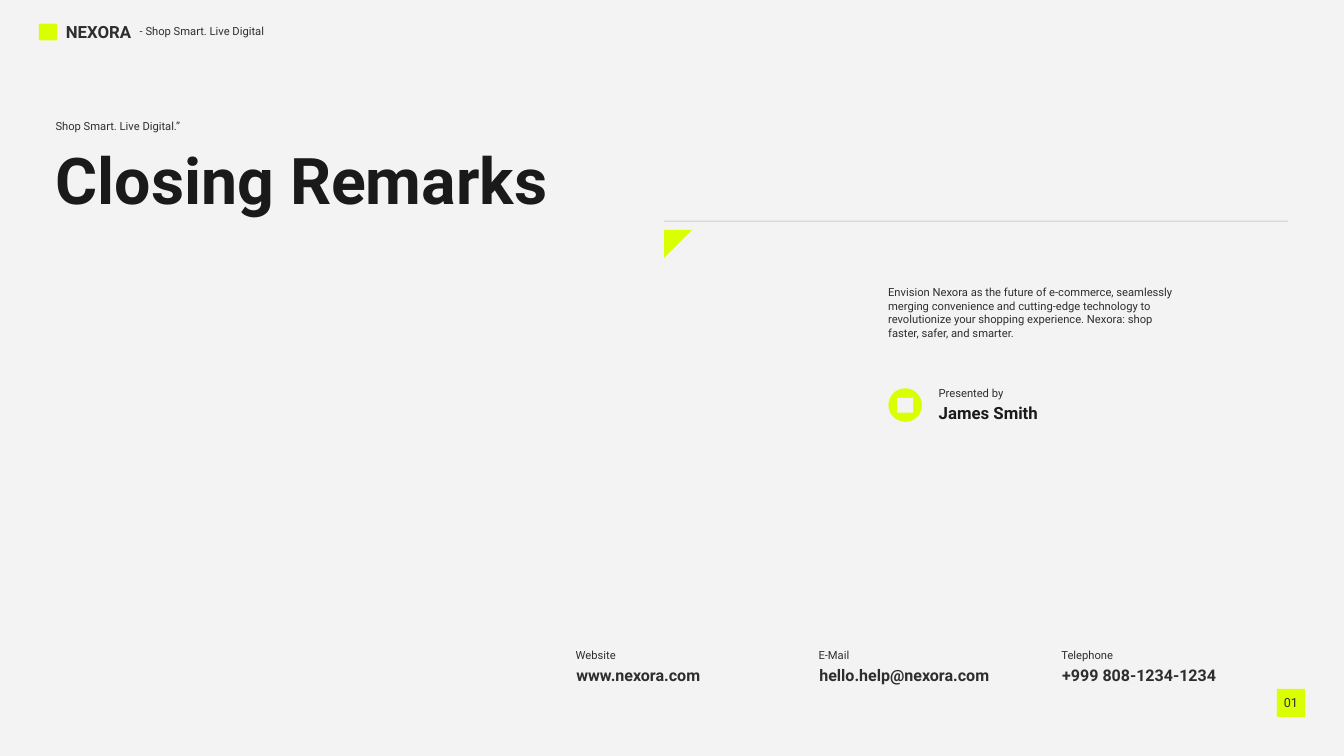
from lxml import etree
from pptx import Presentation
from pptx.dml.color import RGBColor
from pptx.enum.shapes import MSO_CONNECTOR as Conn, MSO_SHAPE as Kind
from pptx.enum.text import MSO_ANCHOR as Anchor, PP_ALIGN as Align
from pptx.oxml.ns import qn
from pptx.util import Cm, Pt

LIME, PALE, INK, DARK = "D9FF00", "F3F3F3", "2E2E2E", "1A1A1A"


def color(hex):
    return RGBColor.from_string(hex)


def write(frame, text, size=12, bold=False, ink=INK, align=Align.LEFT):
    frame.word_wrap = True
    for i, line in enumerate(text.split("\n")):
        para = frame.paragraphs[0] if i == 0 else frame.add_paragraph()
        para.alignment = align
        run = para.add_run()
        run.text = line
        font = run.font
        font.name, font.size, font.bold = "Roboto", Pt(size), bold
        font.color.rgb = color(ink)


def label(slide, text, x, y, w, h=0.76, **style):
    box = slide.shapes.add_textbox(Cm(x), Cm(y), Cm(w), Cm(h))
    write(box.text_frame, text, **style)


def block(slide, kind, x, y, w, h, fill=LIME):
    shape = slide.shapes.add_shape(kind, Cm(x), Cm(y), Cm(w), Cm(h))
    shape.shadow.inherit = False
    shape.fill.solid()
    shape.fill.fore_color.rgb = color(fill)
    shape.line.fill.background()
    return shape


def header(slide, x, y):
    block(slide, Kind.RECTANGLE, x, y + 0.2, 0.69, 0.64)
    label(slide, "NEXORA", x + 0.77, y, 3.23, 1.02, size=18, bold=True)
    label(slide, "- Shop Smart. Live Digital", x + 3.56, y + 0.12, 5.54)


def title(slide, x, y):
    label(slide, "Shop Smart. Live Digital.”", x, y, 5.51)
    label(slide, "Closing Remarks", x, y + 0.79, 20.45, 3.2,
          size=69, bold=True, ink=DARK)


def rule(slide, x, y, w):
    line = slide.shapes.add_connector(Conn.STRAIGHT, Cm(x), Cm(y), Cm(x + w), Cm(y))
    line.line.width = Pt(0.75)
    line.line.color.rgb = color("000000")
    # Fade the line to 30 % and drop its shadow
    props = line._element.spPr
    tone = props.find(".//" + qn("a:srgbClr"))
    etree.SubElement(tone, qn("a:alpha")).set("val", "30000")
    etree.SubElement(props, qn("a:effectLst"))
    # Corner below the left end
    corner = block(slide, Kind.RIGHT_TRIANGLE, x, y + 0.33, 1.06, 1.06)
    corner.rotation = 90


def speaker(slide, x, y):
    block(slide, Kind.OVAL, x, y, 1.27, 1.27)
    block(slide, Kind.RECTANGLE, x + 0.33, y + 0.36, 0.61, 0.56, fill=PALE)
    label(slide, "Presented by", x + 1.65, y - 0.2, 3.23)
    label(slide, "James Smith", x + 1.65, y + 0.43, 4.34, 1.04,
          size=18, bold=True, ink=DARK)


def contacts(slide, x, y, step):
    items = [
        ("Website", 2.24, "www.nexora.com", 6.02),
        ("E-Mail", 1.98, "hello.help@nexora.com", 7.72),
        ("Telephone", 2.67, "+999 808-1234-1234", 6.81),
    ]
    for i, (name, slim, value, wide) in enumerate(items):
        left = x + i * step
        label(slide, name, left, y, slim)
        label(slide, value, left + 0.03, y + 0.64, wide, 1, size=17.2, bold=True)


def badge(slide, x, y, side):
    frame = block(slide, Kind.RECTANGLE, x, y, side, side).text_frame
    frame.margin_left = frame.margin_right = 0
    frame.margin_top = frame.margin_bottom = 0
    frame.vertical_anchor = Anchor.MIDDLE
    write(frame, "01", size=13.5, align=Align.CENTER)


def main():
    deck = Presentation()
    deck.slide_width, deck.slide_height = Cm(50.8), Cm(28.58)
    slide = deck.slides.add_slide(deck.slide_layouts[6])
    slide.background.fill.solid()
    slide.background.fill.fore_color.rgb = color(PALE)

    title(slide, 1.85, 4.37)
    rule(slide, 25.1, 8.36, 23.6)
    contacts(slide, 21.51, 24.38, 9.18)
    speaker(slide, 33.58, 14.68)
    header(slide, 1.47, 0.69)
    badge(slide, 48.26, 26.04, 1.06)
    # Closing message
    label(slide, "Envision Nexora as the future of e-commerce, seamlessly\n"
                 "merging convenience and cutting-edge technology to\n"
                 "revolutionize your shopping experience. Nexora: shop\n"
                 "faster, safer, and smarter.", 33.32, 10.67, 12.95, 2.31)
    deck.save("out.pptx")


if __name__ == "__main__":
    main()
